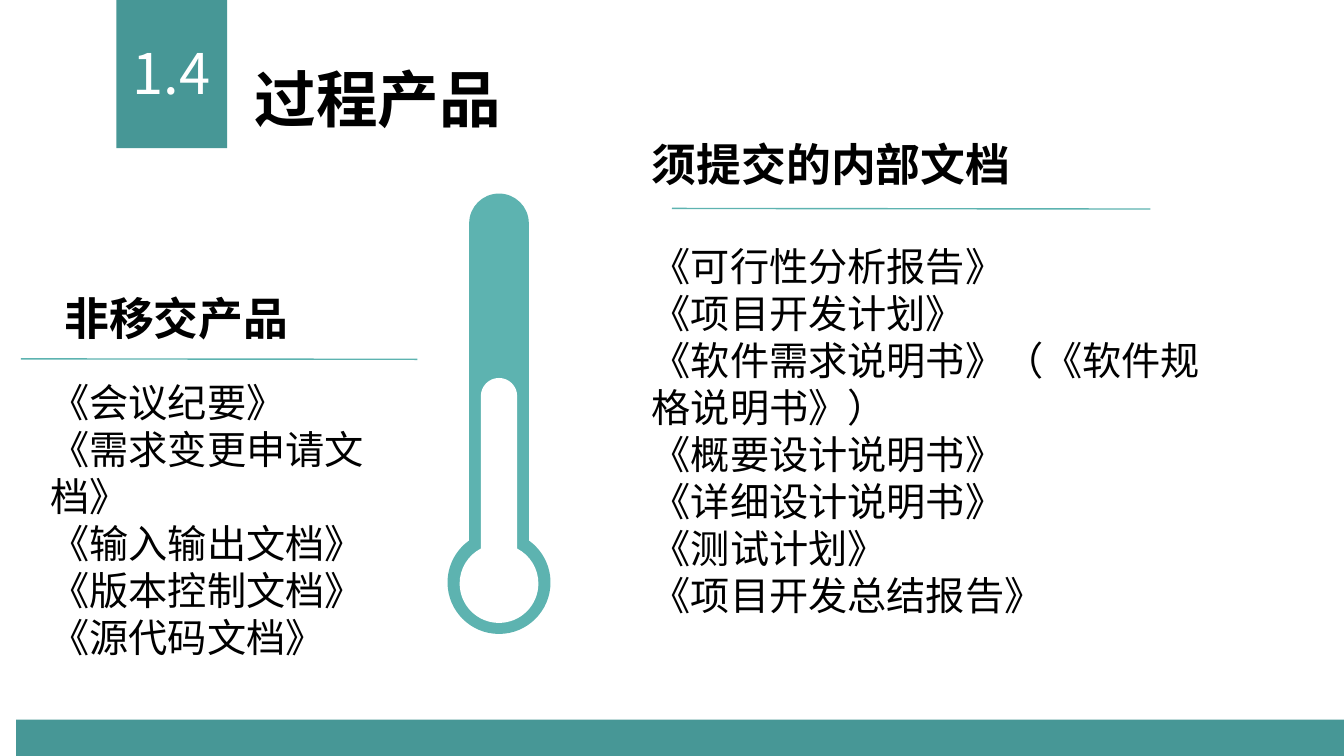
from math import asin, cos, pi, sin, tan
from lxml.etree import SubElement
from pptx import Presentation
from pptx.dml.color import RGBColor
from pptx.enum.shapes import MSO_CONNECTOR, MSO_SHAPE
from pptx.enum.text import MSO_ANCHOR, MSO_AUTO_SIZE, PP_ALIGN
from pptx.oxml.ns import qn
from pptx.util import Inches, Pt

TEAL, LIGHT_TEAL, WHITE, BLACK = "479796", "5DB3B0", "FFFFFF", "000000"
HEADING_FONT = "Noto Sans CJK SC"


def color(hex_string):
    return RGBColor.from_string(hex_string)


def write(shape, lines, font_name, size, hex_string=BLACK, bold=False,
          align=PP_ALIGN.LEFT):
    frame = shape.text_frame
    frame.word_wrap = True
    frame.auto_size = MSO_AUTO_SIZE.NONE
    frame.vertical_anchor = MSO_ANCHOR.TOP
    for index, line in enumerate(lines):
        paragraph = frame.add_paragraph() if index else frame.paragraphs[0]
        paragraph.alignment = align
        paragraph.space_before = Pt(0)
        properties = paragraph._p.get_or_add_pPr()
        properties.set("marL", "0")
        properties.set("indent", "0")
        SubElement(properties, qn("a:buNone"))
        run = paragraph.add_run()
        run.text = line
        run.font.name = font_name
        run.font.size = Pt(size)
        run.font.bold = bold
        run.font.color.rgb = color(hex_string)
        east_asian = SubElement(run._r.get_or_add_rPr(), qn("a:ea"))
        east_asian.set("typeface", font_name)


presentation = Presentation()
presentation.slide_width = Inches(13.33)
presentation.slide_height = Inches(7.5)
# The grid has 100 columns and 100 rows
column = presentation.slide_width / 100
row = presentation.slide_height / 100

# The comparison layout holds a title and two headed lists
slide = presentation.slides.add_slide(presentation.slide_layouts[4])
shapes = slide.shapes
title, left_heading, left_list, right_heading, right_list = slide.placeholders

# Section block and footer bar
for left, top, width, height in [(8.65, 0, 8.25, 19.6), (1.2, 95.2, 98.8, 4.8)]:
    block = shapes.add_shape(MSO_SHAPE.RECTANGLE, int(left * column), int(top * row),
                             int(width * column), int(height * row))
    block.shadow.inherit = False
    block.fill.solid()
    block.fill.fore_color.rgb = color(TEAL)
    block.line.fill.background()

# Section number
number = shapes.add_textbox(int(8.65 * column), int(4.4 * row),
                            int(8.25 * column), int(10.3 * row))
write(number, ["1.4"], "Noto Sans CJK KR", 40, WHITE, align=PP_ALIGN.CENTER)

# Title, headings and lists
left_items = ["《会议纪要》", "《需求变更申请文档》", "《输入输出文档》",
              "《版本控制文档》", "《源代码文档》"]
right_items = ["《可行性分析报告》", "《项目开发计划》",
               "《软件需求说明书》（《软件规格说明书》）", "《概要设计说明书》",
               "《详细设计说明书》", "《测试计划》", "《项目开发总结报告》"]
texts = [
    (title, (18.2, 7.4, 52, 11.2), ["过程产品"], HEADING_FONT, 44, True),
    (left_heading, (4.03, 37.83, 22.4, 8.5), ["非移交产品"], HEADING_FONT, 32, True),
    (left_list, (3, 49.36, 29.6, 39), left_items, "Arial", 28, False),
    (right_heading, (47.75, 17.37, 29, 8.5), ["须提交的内部文档"], HEADING_FONT, 32, True),
    (right_list, (47.75, 31.37, 42.4, 51.6), right_items, "Arial", 28, False),
]
for shape, (left, top, width, height), lines, font_name, size, bold in texts:
    shape.left, shape.top = int(left * column), int(top * row)
    shape.width, shape.height = int(width * column), int(height * row)
    write(shape, lines, font_name, size, bold=bold)

# Rules under the headings
for start, end, level, end_level in [(1.55, 31.05, 47.47, 47.53),
                                     (50, 85.6, 27.57, 27.65)]:
    rule = shapes.add_connector(MSO_CONNECTOR.STRAIGHT, int(start * column),
                                int(level * row), int(end * column), int(end_level * row))
    rule.line.color.rgb = color(LIGHT_TEAL)
    rule.line.width = Pt(1)
    SubElement(rule._element.spPr, qn("a:effectLst"))

# Thermometer: a round-capped stem that runs into a bulb
thermometer = shapes.add_group_shape()
center = 37.13 * column
for stem_radius, bulb_radius, top, bottom, fill in [
        (2.22, 3.83, 25.6, 83.85, LIGHT_TEAL), (1.35, 2.93, 50, 82.4, WHITE)]:
    stem, bulb = stem_radius * column, bulb_radius * column
    cap_y, bulb_y = top * row + stem, bottom * row - bulb
    neck = asin(stem / bulb)
    # Right half, top to bottom: each arc gives two handles and its end
    half = [(0, cap_y - stem)]
    for radius, middle, first, last in [(stem, cap_y, -pi / 2, 0),
                                        (bulb, bulb_y, neck - pi / 2, 0),
                                        (bulb, bulb_y, 0, pi / 2)]:
        reach = 4 / 3 * tan((last - first) / 4)
        if first > -pi / 2 and first < 0:
            half.append((stem, middle + radius * sin(first)))
        for angle, handle in [(first, reach), (last, -reach), (last, 0)]:
            half.append((radius * (cos(angle) - handle * sin(angle)),
                         middle + radius * (sin(angle) + handle * cos(angle))))
    mirrored = [(-x, y) for x, y in reversed(half[:-1])]
    points = [(int(center + x), int(y)) for x, y in half + mirrored]
    builder = thermometer.shapes.build_freeform(*points[0])
    builder.add_line_segments(points[1:], close=True)
    outline = builder.convert_to_shape()

    # Turn each run of three arc points into one curve
    segments = list(outline._element.iter(qn("a:lnTo")))
    for start in (0, 4, 7, 10, 13, 17):
        curve = segments[start].makeelement(qn("a:cubicBezTo"))
        segments[start].addprevious(curve)
        for segment in segments[start:start + 3]:
            curve.append(segment[0])
            segment.getparent().remove(segment)
    outline.shadow.inherit = False
    outline.fill.solid()
    outline.fill.fore_color.rgb = color(fill)
    outline.line.fill.background()

presentation.save("out.pptx")
